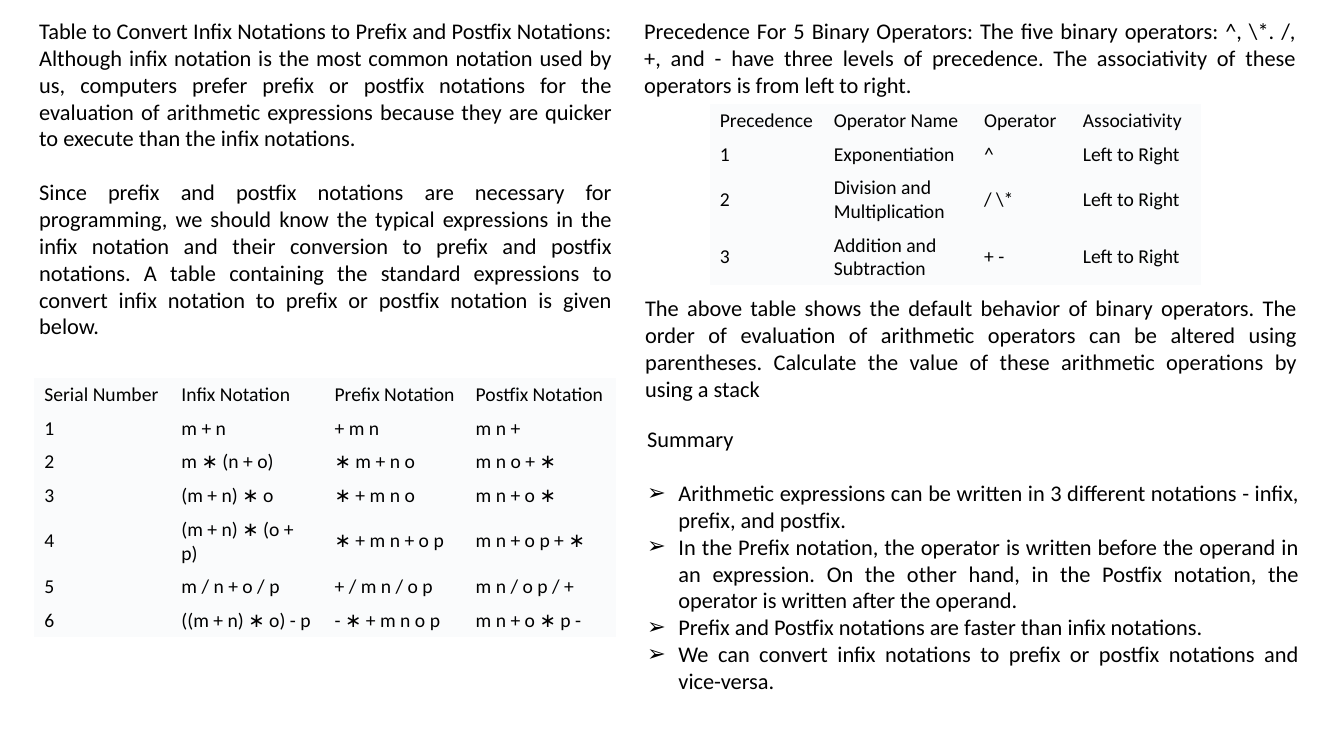
"""Slide on infix, prefix and postfix notations with operator precedence."""
from lxml.etree import SubElement
from pptx import Presentation
from pptx.dml.color import RGBColor
from pptx.enum.text import MSO_ANCHOR, PP_ALIGN
from pptx.oxml.ns import qn
from pptx.util import Inches, Pt

COLORS = {"text": "000000", "cell": "FAFBFC"}
NO_GRID = "{2D5ABB26-0587-4C30-8999-92F81FD0307C}"
LINE = 19.2

prs = Presentation()
prs.slide_width, prs.slide_height = Inches(13.33), Inches(7.5)
W, H = prs.slide_width / 100, prs.slide_height / 100
s = prs.slides.add_slide(prs.slide_layouts[6])


def write(tf, text, size=16, align=PP_ALIGN.JUSTIFY, before=0, bullet=None, first=True):
    p = tf.paragraphs[0] if first else tf.add_paragraph()
    p.alignment = align
    p.space_before = Pt(before)
    r = p.add_run()
    r.text = text
    r.font.name, r.font.size = "Calibri", Pt(size)
    r.font.color.rgb = RGBColor.from_string(COLORS["text"])
    if bullet:
        pPr = p._p.get_or_add_pPr()
        indent = int(2.33 * W)
        pPr.set("marL", str(indent))
        pPr.set("indent", str(-indent))
        SubElement(pPr, qn("a:buFont")).set("typeface", "Arial")
        SubElement(pPr, qn("a:buChar")).set("char", bullet)


texts = [
    (2.18, 1.6, 44.11, 44.4, [
        ("Table to Convert Infix Notations to Prefix and Postfix Notations: Although infix "
         "notation is the most common notation used by us, computers prefer prefix or postfix "
         "notations for the evaluation of arithmetic expressions because they are quicker to "
         "execute than the infix notations.", {}),
        ("Since prefix and postfix notations are necessary for programming, we should know the "
         "typical expressions in the infix notation and their conversion to prefix and postfix "
         "notations. A table containing the standard expressions to convert infix notation to "
         "prefix or postfix notation is given below.", {"before": LINE}),
    ]),
    (47.19, 1.6, 50, 12.13, [
        ("Precedence For 5 Binary Operators: The five binary operators: ^, \\*. /, +, and - have "
         "three levels of precedence. The associativity of these operators is from left to right.",
         {}),
    ]),
    (47.26, 38.27, 50, 15.73, [
        ("The above table shows the default behavior of binary operators. The order of evaluation "
         "of arithmetic operators can be altered using parentheses. Calculate the value of these "
         "arithmetic operations by using a stack", {}),
    ]),
    (47.41, 55.6, 50, 37.2, [
        ("Summary", {}),
        ("Arithmetic expressions can be written in 3 different notations - infix, prefix, and "
         "postfix.", {"bullet": "➢", "before": LINE}),
        ("In the Prefix notation, the operator is written before the operand in an expression. On "
         "the other hand, in the Postfix notation, the operator is written after the operand.",
         {"bullet": "➢"}),
        ("Prefix and Postfix notations are faster than infix notations.", {"bullet": "➢"}),
        ("We can convert infix notations to prefix or postfix notations and vice-versa.",
         {"bullet": "➢"}),
    ]),
]
for x, y, w, h, paras in texts:
    tf = s.shapes.add_textbox(int(x * W), int(y * H), int(w * W), int(h * H)).text_frame
    tf.word_wrap = True
    for i, (text, fmt) in enumerate(paras):
        write(tf, text, first=i == 0, **fmt)

tables = [
    (2.55, 50, [10.2, 11.4, 10.5, 11.18], [
        ("Serial Number", "Infix Notation", "Prefix Notation", "Postfix Notation"),
        ("1", "m + n", "+ m n", "m n +"),
        ("2", "m ∗ (n + o)", "∗ m + n o", "m n o + ∗"),
        ("3", "(m + n) ∗ o", "∗ + m n o", "m n + o ∗"),
        ("4", "(m + n) ∗ (o + p)", "∗ + m n + o p", "m n + o p + ∗"),
        ("5", "m / n + o / p", "+ / m n / o p", "m n / o p / +"),
        ("6", "((m + n) ∗ o) - p", "- ∗ + m n o p", "m n + o ∗ p -"),
    ]),
    (52.81, 13.73, [8.48, 11.18, 7.35, 9.53], [
        ("Precedence", "Operator Name", "Operator", "Associativity"),
        ("1", "Exponentiation", "^", "Left to Right"),
        ("2", "Division and Multiplication", "/ \\*", "Left to Right"),
        ("3", "Addition and Subtraction", "+ -", "Left to Right"),
    ]),
]
for x, y, widths, rows in tables:
    tbl = s.shapes.add_table(len(rows), len(widths), int(x * W), int(y * H),
                             int(sum(widths) * W), int(4.44 * H * len(rows))).table
    tbl.first_row = tbl.horz_banding = False
    tbl._tbl.tblPr.find(qn("a:tableStyleId")).text = NO_GRID
    for col, w in zip(tbl.columns, widths):
        col.width = int(w * W)
    for i, row in enumerate(rows):
        for j, text in enumerate(row):
            cell = tbl.cell(i, j)
            cell.fill.solid()
            cell.fill.fore_color.rgb = RGBColor.from_string(COLORS["cell"])
            cell.vertical_anchor = MSO_ANCHOR.MIDDLE
            write(cell.text_frame, text, size=14, align=PP_ALIGN.LEFT)

prs.save("out.pptx")
